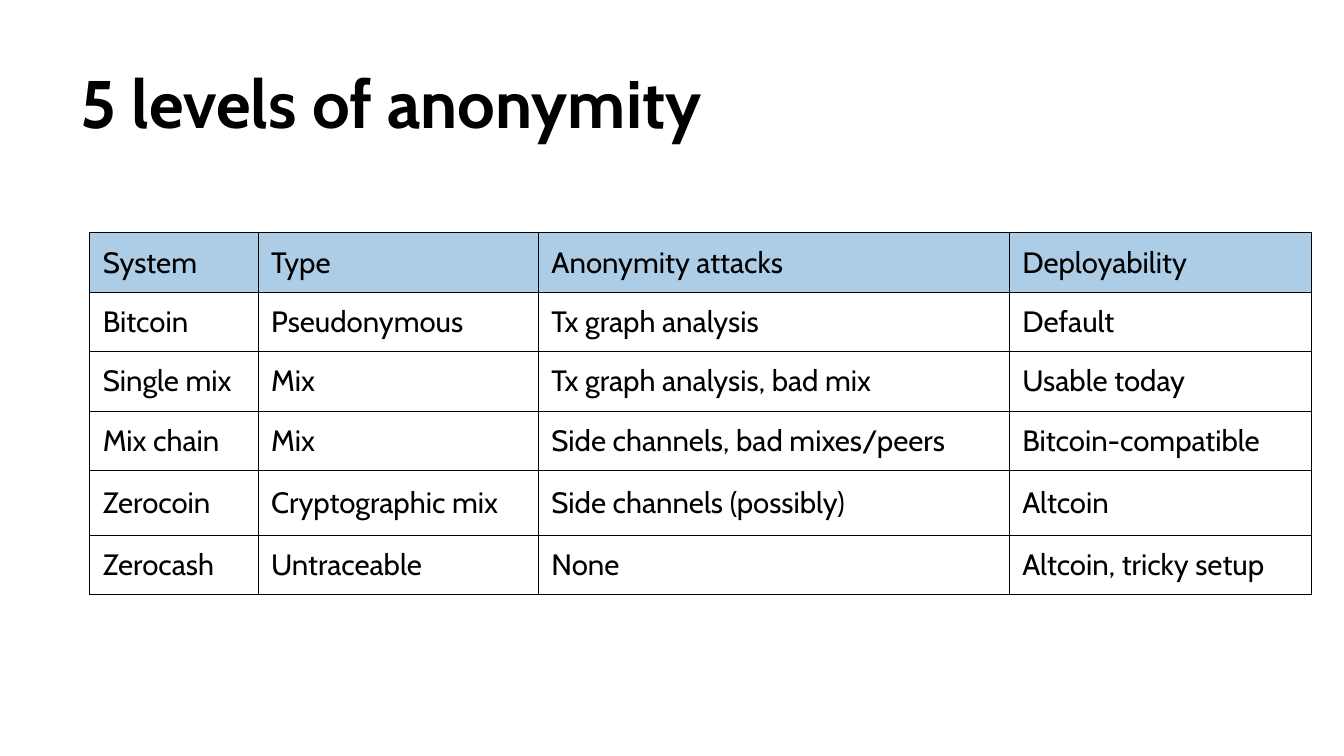
from lxml.etree import SubElement
from pptx import Presentation
from pptx.dml.color import RGBColor
from pptx.enum.text import MSO_ANCHOR, MSO_AUTO_SIZE, PP_ALIGN
from pptx.oxml.ns import qn
from pptx.util import Inches, Pt

FONT = "Cabin"
BLACK = "000000"
HEADER_BLUE = "ADCCE5"
COLUMN_WIDTHS = [1.67, 2.78, 4.67, 3]
ROW_HEIGHTS = [0.59, 0.59, 0.59, 0.59, 0.64, 0.59]
LEVELS = [
    ["System", "Type", "Anonymity attacks", "Deployability"],
    ["Bitcoin", "Pseudonymous", "Tx graph analysis", "Default"],
    ["Single mix", "Mix", "Tx graph analysis, bad mix", "Usable today"],
    ["Mix chain", "Mix", "Side channels, bad mixes/peers", "Bitcoin-compatible"],
    ["Zerocoin", "Cryptographic mix", "Side channels (possibly)", "Altcoin"],
    ["Zerocash", "Untraceable", "None", "Altcoin, tricky setup"],
]


def rgb(color):
    return RGBColor.from_string(color)


def write(tf, text, size, bold=False, color=BLACK, spacing=None):
    p = tf.paragraphs[0]
    p.alignment = PP_ALIGN.LEFT
    p.line_spacing = spacing
    r = p.add_run()
    r.text = text
    r.font.name = FONT
    r.font.size = Pt(size)
    r.font.bold = bold
    r.font.color.rgb = rgb(color)


def set_margins(box, x, y):
    box.margin_left = box.margin_right = Inches(x)
    box.margin_top = box.margin_bottom = Inches(y)


def add_borders(cell, color=BLACK, width=0.75):
    tcPr = cell._tc.get_or_add_tcPr()
    for side in ("lnL", "lnR", "lnT", "lnB"):
        ln = SubElement(tcPr, qn(f"a:{side}"), w=str(Pt(width)))
        fill = SubElement(ln, qn("a:solidFill"))
        SubElement(fill, qn("a:srgbClr"), val=color)


def add_title(s, text, left, top, width, height):
    sp = s.shapes.title
    sp.left, sp.top = Inches(left), Inches(top)
    sp.width, sp.height = Inches(width), Inches(height)
    tf = sp.text_frame
    tf.word_wrap = True
    tf.auto_size = MSO_AUTO_SIZE.NONE
    tf.vertical_anchor = MSO_ANCHOR.BOTTOM
    set_margins(tf, 0.13, 0.13)
    write(tf, text, 48, bold=True, spacing=0.9)


def fill_cell(cell, text, is_header):
    cell.vertical_anchor = MSO_ANCHOR.MIDDLE
    set_margins(cell, 0.13, 0.07)
    add_borders(cell)
    if is_header:
        cell.fill.solid()
        cell.fill.fore_color.rgb = rgb(HEADER_BLUE)
    else:
        cell.fill.background()
    write(cell.text_frame, text, 21)


def add_levels_table(s, left, top):
    frame = s.shapes.add_table(
        len(LEVELS), len(COLUMN_WIDTHS), Inches(left), Inches(top),
        Inches(sum(COLUMN_WIDTHS)), Inches(sum(ROW_HEIGHTS)))
    table = frame.table
    table.first_row = False
    table.horz_banding = False
    for column, width in zip(table.columns, COLUMN_WIDTHS):
        column.width = Inches(width)
    for i, (row, height) in enumerate(zip(table.rows, ROW_HEIGHTS)):
        row.height = Inches(height)
        for cell, text in zip(row.cells, LEVELS[i]):
            fill_cell(cell, text, is_header=i == 0)


def main():
    prs = Presentation()
    prs.slide_width, prs.slide_height = Inches(13.33), Inches(7.5)
    s = prs.slides.add_slide(prs.slide_layouts[5])
    add_title(s, "5 levels of anonymity", 0.67, 0.3, 12, 1.25)
    add_levels_table(s, 0.89, 2.31)
    prs.save("out.pptx")


if __name__ == "__main__":
    main()
